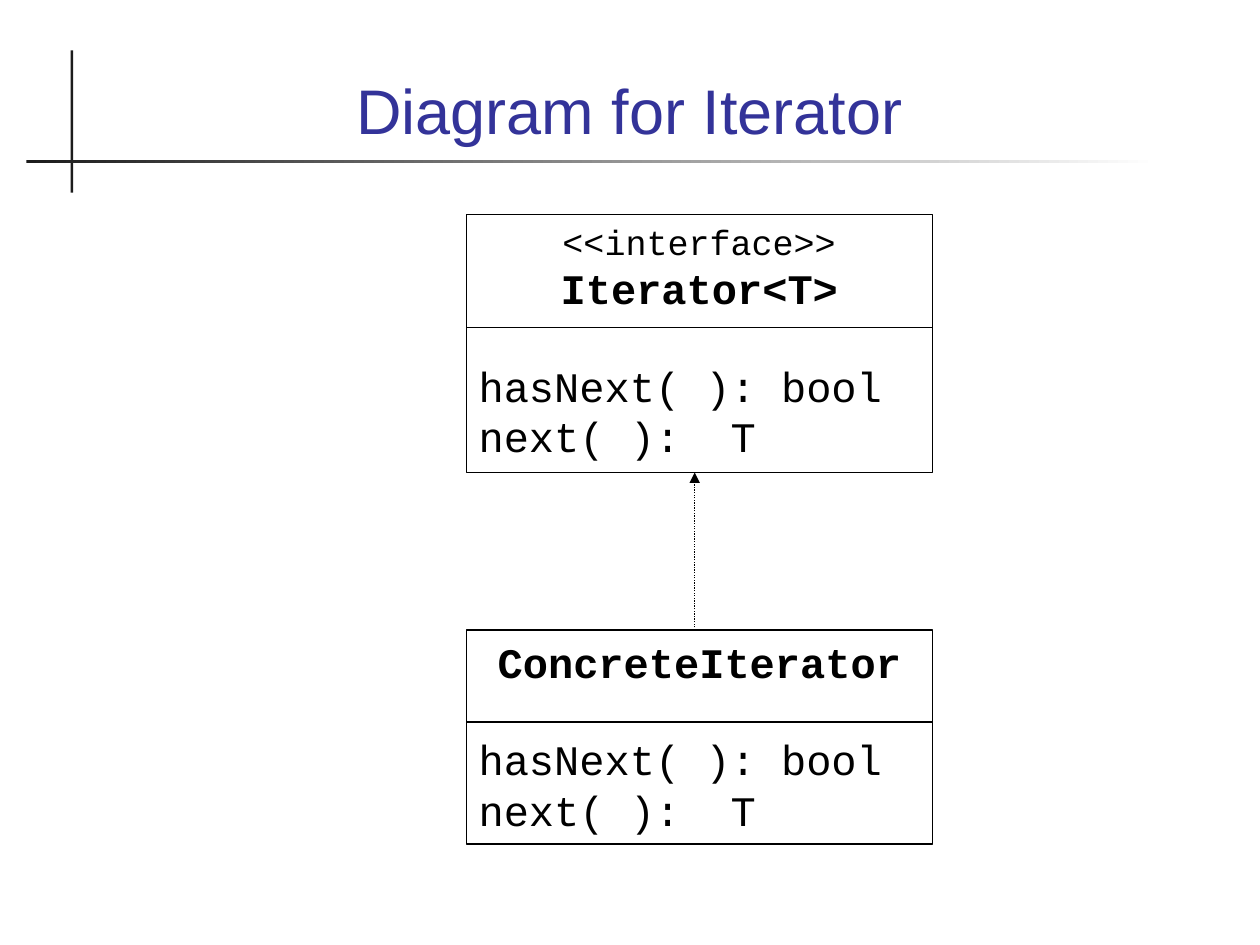
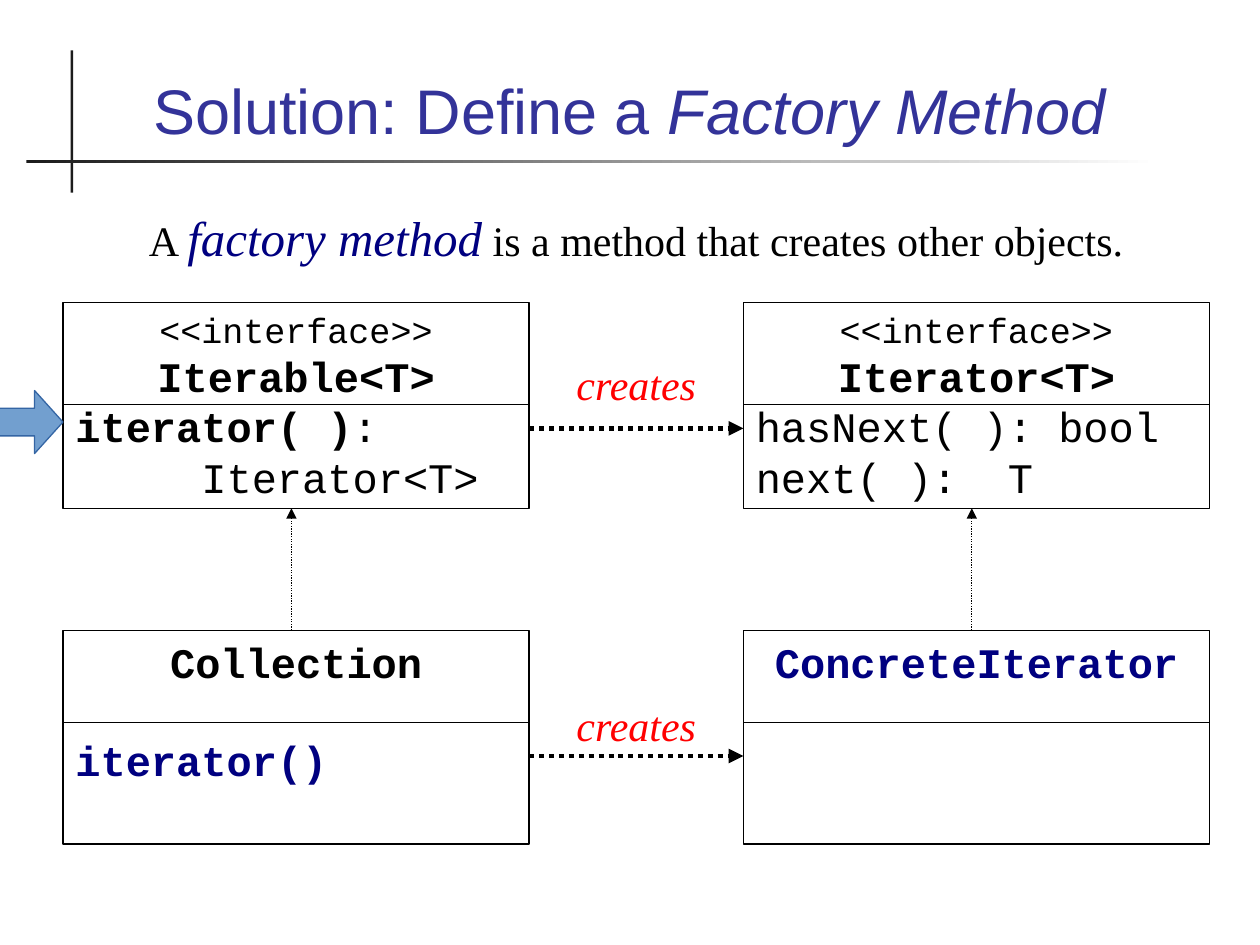
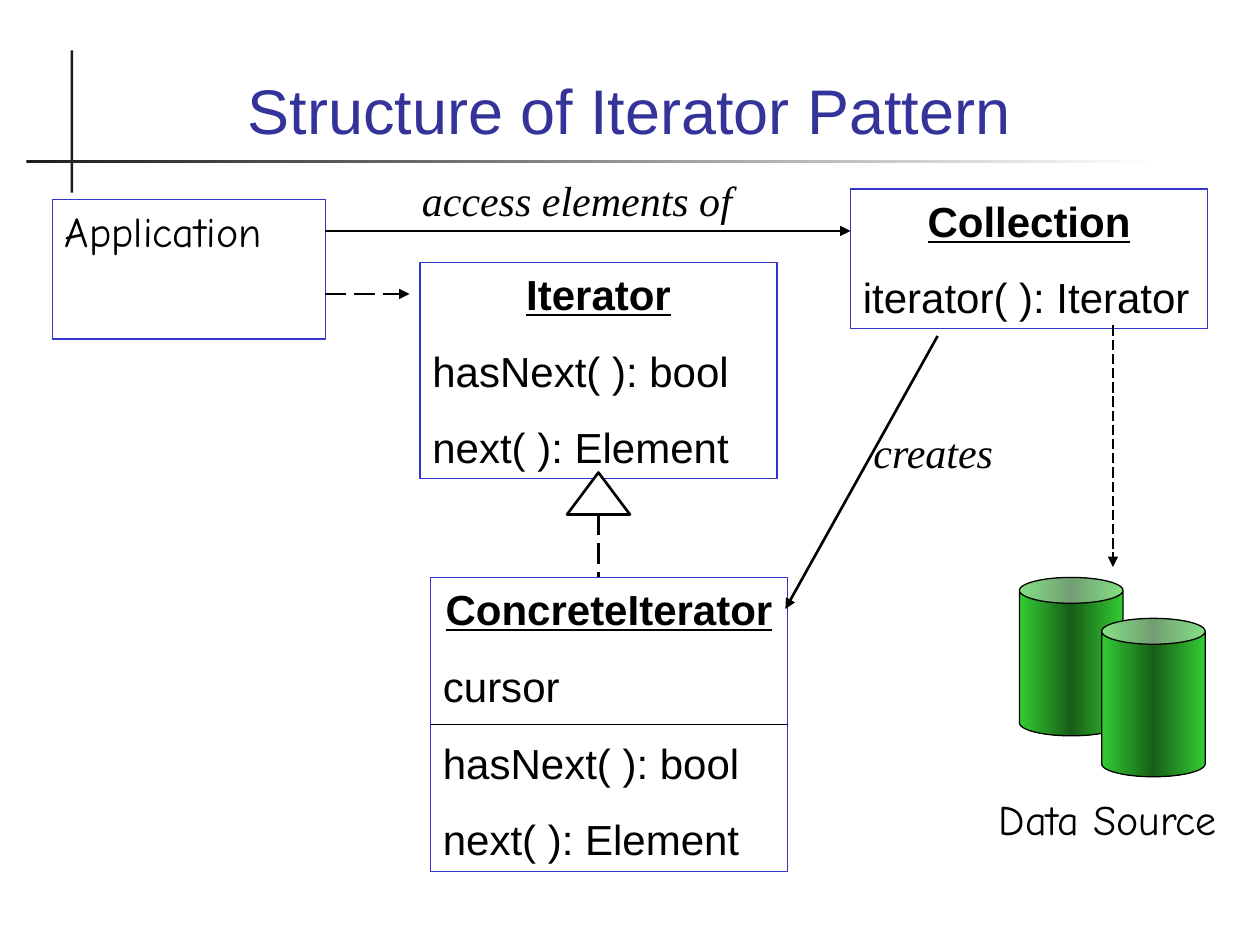
from dataclasses import dataclass, replace

from lxml import etree
from pptx import Presentation
from pptx import util as u
from pptx.dml import color
from pptx.enum import dml, shapes, text
from pptx.oxml import ns

WIDTH, HEIGHT = u.Inches(10), u.Inches(7.5)
CENTER, LEFT = text.PP_ALIGN.CENTER, text.PP_ALIGN.LEFT
DOTTED, DASHED = dml.MSO_LINE.ROUND_DOT, dml.MSO_LINE.LONG_DASH


@dataclass(frozen=True)
class Style:
    font: str
    size: int
    color: str
    bold: bool = False
    italic: bool = False
    underline: bool = False


class Theme:
    ink, navy, red, white = "000000", "000080", "FF0000", "FFFFFF"
    rule, frame_blue = "1C1C1C", "3333CC"
    arrow_fill, arrow_edge = "729FCF", "3465A4"
    green, dark_green = "33CC33", "175E17"
    thin, medium, thick = 0.75, 1.5, 2.83
    blank_line, spaced = 27, 15

    title = Style("Arial", 36, "333399")
    code = Style("Courier New", 24, ink)
    code_bold = replace(code, bold=True)
    code_navy = replace(code_bold, color=navy)
    stereotype = replace(code, size=20)
    member = Style("Arial", 24, ink)
    class_name = replace(member, bold=True, underline=True)
    hand = Style("Comic Neue", 24, ink)
    prose = Style("Times New Roman", 24, ink)
    relation = replace(prose, italic=True)
    relation_red = replace(relation, color=red)
    term = replace(relation, size=28, color=navy)


@dataclass(frozen=True)
class Box:
    left: int
    top: int
    width: int
    height: int

    def point(self, across, down):
        return (round(self.left + across * self.width),
                round(self.top + down * self.height))

    def inner(self, left, top, width, height):
        return Box(*self.point(left, top), round(width * self.width),
                   round(height * self.height))

    @property
    def bounds(self):
        return self.left, self.top, self.width, self.height


@dataclass(frozen=True)
class Grid:
    """The slide divided into equal columns and rows."""
    columns: int
    rows: int

    def box(self, column, row, wide, high):
        return PAGE.inner(column / self.columns, row / self.rows,
                          wide / self.columns, high / self.rows)

    def point(self, column, row):
        return PAGE.point(column / self.columns, row / self.rows)


@dataclass(frozen=True)
class Line:
    """One paragraph: (words, style) runs, alignment and spacing."""
    runs: tuple
    align: int = LEFT
    before: float = 0
    hanging: float = 0


PAGE = Box(0, 0, WIDTH, HEIGHT)
TENTHS = Grid(100, 75)
TWELFTHS = Grid(120, 90)


def line(words, style, align=LEFT, before=0):
    return Line(((words, style),), align, before)


# Text, fills and lines

def rgb(value):
    return color.RGBColor.from_string(value)


def write(shape, lines, anchor=text.MSO_ANCHOR.TOP):
    frame = shape.text_frame
    frame.word_wrap = True
    frame.vertical_anchor = anchor
    for index, item in enumerate(lines):
        paragraph = frame.add_paragraph() if index else frame.paragraphs[0]
        paragraph.alignment = item.align
        if item.before:
            paragraph.space_before = u.Pt(item.before)
        if item.hanging:
            indent = u.Inches(item.hanging)
            properties = paragraph._p.get_or_add_pPr()
            properties.set("marL", str(indent))
            properties.set("indent", str(-indent))
        for words, style in item.runs:
            if words == "\v":
                paragraph.add_line_break()
                continue
            run = paragraph.add_run()
            run.text = words
            font = run.font
            font.name, font.size = style.font, u.Pt(style.size)
            font.color.rgb = rgb(style.color)
            font.bold, font.italic = style.bold, style.italic
            font.underline = style.underline


def label(slide, box, lines, anchor=text.MSO_ANCHOR.TOP):
    write(slide.shapes.add_textbox(*box.bounds), lines, anchor)


def draw(slide, kind, box, fill=None, edge=None, weight=Theme.thin):
    shape = slide.shapes.add_shape(kind, *box.bounds)
    shape.shadow.inherit = False
    if fill:
        shape.fill.solid()
        shape.fill.fore_color.rgb = rgb(fill)
    else:
        shape.fill.background()
    if edge:
        shape.line.color.rgb = rgb(edge)
        shape.line.width = u.Pt(weight)
    else:
        shape.line.fill.background()
    return shape


def shade(shape, *colors):
    """Blend evenly spaced colours from left to right."""
    shape.fill.gradient()
    shape.fill.gradient_angle = 0
    stops = shape._element.spPr.find(".//" + ns.qn("a:gsLst"))
    stops.clear()
    for index, value in enumerate(colors):
        position = str(100000 * index // (len(colors) - 1))
        stop = etree.SubElement(stops, ns.qn("a:gs"), pos=position)
        etree.SubElement(stop, ns.qn("a:srgbClr"), val=value)


def connect(slide, start, end, weight=Theme.thin, dash=None, arrow=True):
    link = slide.shapes.add_connector(shapes.MSO_CONNECTOR.STRAIGHT,
                                      *start, *end)
    link.line.color.rgb = rgb(Theme.ink)
    link.line.width = u.Pt(weight)
    if dash:
        link.line.dash_style = dash
    if arrow:
        outline = link._element.spPr.find(ns.qn("a:ln"))
        etree.SubElement(outline, ns.qn("a:tailEnd"), type="triangle")
    etree.SubElement(link._element.spPr, ns.qn("a:effectLst"))
    return link


# Regions

def titled_slide(deck, *title_runs):
    slide = deck.slides.add_slide(deck.slide_layouts[6])
    rectangle = shapes.MSO_SHAPE.RECTANGLE
    # crossed rules
    draw(slide, rectangle, TENTHS.box(5.6, 4, 0.2, 11.3), Theme.rule)
    shade(draw(slide, rectangle, TENTHS.box(2.1, 12.7, 89.8, 0.2)),
          Theme.rule, Theme.white)
    # heading
    label(slide, TENTHS.box(6.7, 2.8, 86.5, 9.4),
          [Line(title_runs, CENTER)], text.MSO_ANCHOR.BOTTOM)
    return slide


def class_box(slide, box, lines, divider=None, edge=Theme.ink):
    """A class; divider is the share of the height above its rule."""
    frame = draw(slide, shapes.MSO_SHAPE.RECTANGLE, box, edge=edge)
    write(frame, lines)
    if divider:
        rule = connect(slide, box.point(0, divider), box.point(1, divider),
                       arrow=False)
        if divider == 0.5:
            rule.begin_connect(frame, 1)
            rule.end_connect(frame, 3)


def interface_heading(name):
    return [line("<<interface>>", Theme.stereotype, CENTER),
            line(name, Theme.code_bold, CENTER)]


def iterator_methods(gap=0):
    return [line("hasNext( ): bool", Theme.code, before=gap),
            line("next( ):  T", Theme.code)]


def spaced_class(name, *members):
    return [line(name, Theme.class_name, CENTER),
            *(line(member, Theme.member, before=Theme.spaced)
              for member in members)]


def hierarchy(slide, box, interface, concrete, split, dividers):
    """An interface above the class that realizes it.

    split holds the shares of the height where the gap starts and ends.
    """
    gap_top, gap_bottom = split
    class_box(slide, box.inner(0, 0, 1, gap_top), interface, dividers[0])
    class_box(slide, box.inner(0, gap_bottom, 1, 1 - gap_bottom), concrete,
              dividers[1])
    connect(slide, box.point(0.49, gap_bottom), box.point(0.49, gap_top),
            dash=DOTTED)


def creates_link(slide, box):
    """A red caption over a thick dotted arrow along the box's foot."""
    label(slide, box, [line("creates", Theme.relation_red, CENTER)])
    connect(slide, box.point(0, 1), box.point(1, 1), Theme.thick, DOTTED)


def data_source(slide, box):
    for left, top in ((0.21, 0), (0.48, 0.15)):
        can = draw(slide, shapes.MSO_SHAPE.CAN,
                   box.inner(left, top, 0.34, 0.58), edge=Theme.ink)
        shade(can, Theme.green, Theme.dark_green, Theme.green)
    label(slide, box.inner(0, 0.77, 1, 0.23),
          [line("Data Source", Theme.hand, CENTER)])


# Slides

def iterator_diagram(deck):
    slide = titled_slide(deck, ("Diagram for Iterator", Theme.title))
    hierarchy(
        slide, TENTHS.box(37, 17, 37, 50),
        interface_heading("Iterator<T>") + iterator_methods(Theme.blank_line),
        [line("ConcreteIterator", Theme.code_bold, CENTER),
         *iterator_methods(Theme.blank_line)],
        split=(0.41, 0.66), dividers=(0.44, 0.43))


def factory_method(deck):
    slide = titled_slide(
        deck, ("Solution: Define a ", Theme.title),
        ("Factory Method", replace(Theme.title, italic=True)))
    label(slide, TENTHS.box(6, 16, 89, 5.7), [Line((
        ("A ", Theme.prose), ("factory method", Theme.term),
        (" is a method that creates other objects.", Theme.prose)), CENTER)])

    # iterable and iterator families
    factory = Line((("iterator( )", Theme.code_bold), (": ", Theme.code),
                    ("\v", Theme.code), ("Iterator<T>", Theme.code)),
                   hanging=1)
    families = (
        (59, interface_heading("Iterator<T>") + iterator_methods(),
         [line("ConcreteIterator", Theme.code_navy, CENTER)]),
        (5, interface_heading("Iterable<T>") + [factory],
         [line("Collection", Theme.code_bold, CENTER),
          line("iterator()", Theme.code_navy, before=Theme.blank_line)]))
    for column, interface, concrete in families:
        hierarchy(slide, TENTHS.box(column, 24, 37, 43), interface, concrete,
                  split=(0.38, 0.605), dividers=(0.495, 0.43))

    # links between the families
    for row, high in ((28, 6), (55, 5)):
        creates_link(slide, TENTHS.box(42, row, 17, high))

    # pointer to the factory method
    pointer = draw(slide, shapes.MSO_SHAPE.RIGHT_ARROW,
                   TENTHS.box(-2, 31, 7, 5), Theme.arrow_fill,
                   Theme.arrow_edge)
    pointer.adjustments[0], pointer.adjustments[1] = 0.44, 0.45


def pattern_structure(deck):
    slide = titled_slide(deck, ("Structure of Iterator Pattern", Theme.title))
    grid = TWELFTHS

    # classes
    classes = (
        (grid.box(40, 25, 34, 20.6),
         spaced_class("Iterator", "hasNext( ): bool", "next( ): Element"),
         None),
        (grid.box(41, 55, 34, 28),
         spaced_class("ConcreteIterator", "cursor", "hasNext( ): bool",
                      "next( ): Element"), 0.5),
        (grid.box(5, 19, 26, 13.3), [line("Application", Theme.hand)], None),
        (grid.box(81, 18, 34, 13.3),
         spaced_class("Collection", "iterator( ): Iterator"), None))
    for box, lines, divider in classes:
        class_box(slide, box, lines, divider, Theme.frame_blue)

    # realization
    draw(slide, shapes.MSO_SHAPE.ISOSCELES_TRIANGLE, grid.box(54, 45, 6, 4),
         Theme.white, Theme.ink, Theme.medium)
    connect(slide, grid.point(57, 49), grid.point(57, 55), Theme.medium,
            DASHED, arrow=False)

    # uses
    data_source(slide, grid.box(91, 55, 29, 26))
    for start, end, weight, dash in (
            ((31, 22), (81, 22), Theme.medium, None),
            ((31, 28), (39, 28), Theme.medium, DASHED),
            ((89.3, 32), (74.8, 58), Theme.medium, None),
            ((106, 31), (106, 54), Theme.thin, DASHED)):
        connect(slide, grid.point(*start), grid.point(*end), weight, dash)
    for box, words in ((grid.box(39, 16, 33, 6), "access elements of"),
                       (grid.box(82, 40, 15, 6), "creates")):
        label(slide, box, [line(words, Theme.relation)])


def main():
    deck = Presentation()
    deck.slide_width, deck.slide_height = WIDTH, HEIGHT
    iterator_diagram(deck)
    factory_method(deck)
    pattern_structure(deck)
    deck.save("out.pptx")


if __name__ == "__main__":
    main()
